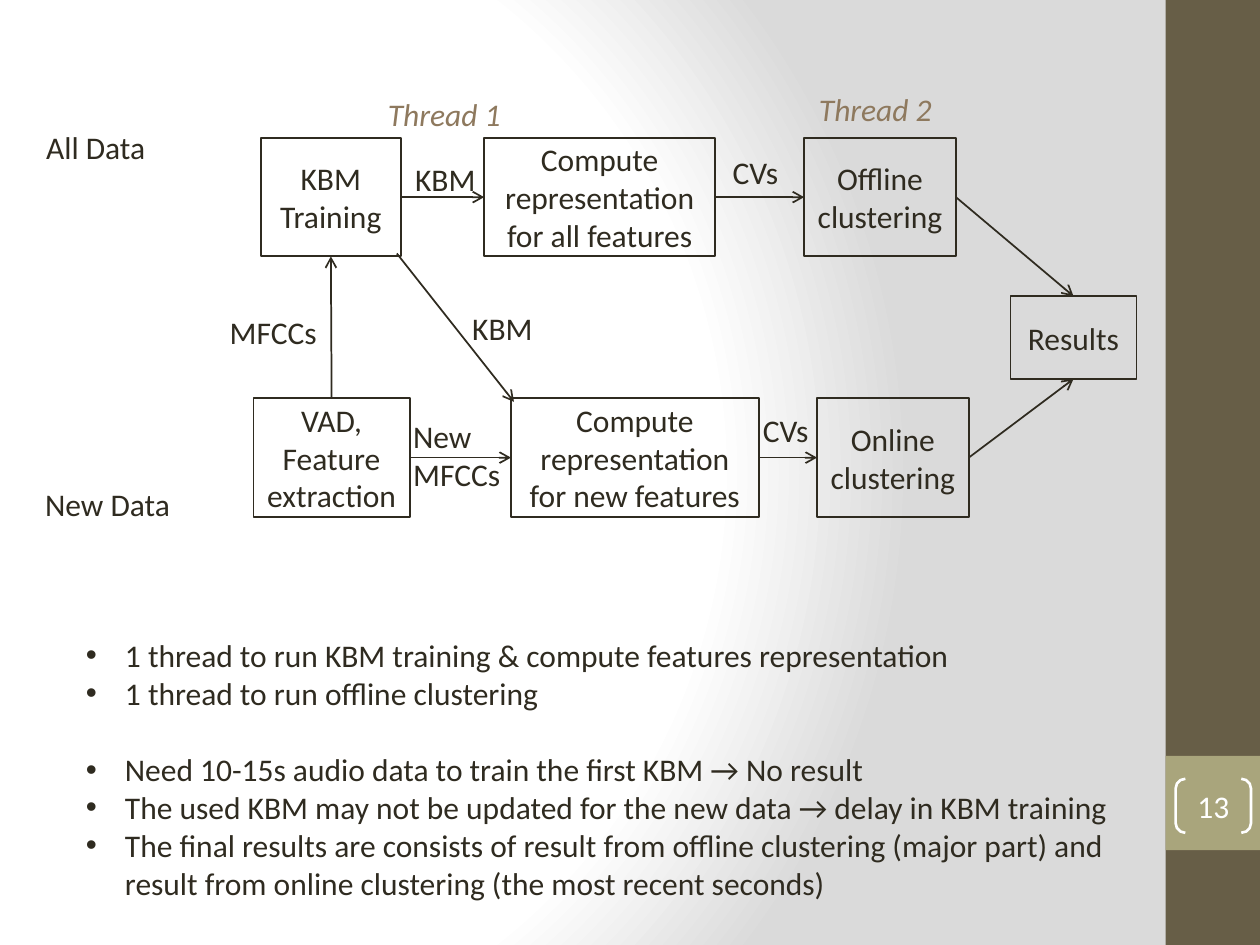
from dataclasses import dataclass

from lxml.etree import SubElement
from pptx import Presentation
from pptx.dml.color import RGBColor
from pptx.enum.shapes import MSO_CONNECTOR, MSO_SHAPE
from pptx.enum.text import MSO_ANCHOR, MSO_AUTO_SIZE, PP_ALIGN
from pptx.oxml import parse_xml
from pptx.oxml.ns import nsdecls, qn
from pptx.util import Cm, Pt

TOP, BOTTOM, LEFT, RIGHT = 0, 2, 1, 3


@dataclass(frozen=True)
class Theme:
    ink: str = "2F2B20"
    accent: str = "8E795E"
    sidebar: str = "675E47"
    badge: str = "A9A57C"
    paper: str = "FFFFFF"
    shade: str = "DADADA"
    font: str = "Calibri"
    size: int = 18
    line: float = 1
    bracket_line: float = 1.5


class SlideBuilder:
    def __init__(self, slide, theme):
        self.slide = slide
        self.theme = theme

    def background(self):
        self.slide.background.fill.solid()
        properties = self.slide.element.find(".//" + qn("p:bgPr"))
        stops = ((0, self.theme.paper), (75000, self.theme.paper), (100000, self.theme.shade))
        stop_xml = "".join(
            f'<a:gs pos="{position}"><a:srgbClr val="{color}"/></a:gs>' for position, color in stops
        )
        properties.replace(properties[0], parse_xml(
            f'<a:gradFill {nsdecls("a")} rotWithShape="1"><a:gsLst>{stop_xml}</a:gsLst>'
            '<a:path path="circle"><a:fillToRect l="20000" t="50000" r="100000" b="50000"/>'
            '</a:path></a:gradFill>'
        ))

    def style(self, paragraph, color, italic=False):
        paragraph.font.name = self.theme.font
        paragraph.font.size = Pt(self.theme.size)
        paragraph.font.color.rgb = RGBColor.from_string(color)
        if italic:
            paragraph.font.italic = True

    def shape(self, kind, left, top, width, height):
        shape = self.slide.shapes.add_shape(kind, Cm(left), Cm(top), Cm(width), Cm(height))
        shape.shadow.inherit = False
        shape.fill.background()
        return shape

    def panel(self, left, top, width, height, color):
        panel = self.shape(MSO_SHAPE.RECTANGLE, left, top, width, height)
        panel.fill.solid()
        panel.fill.fore_color.rgb = RGBColor.from_string(color)
        panel.line.fill.background()

    def outlined(self, kind, text, left, top, width, height, color, line):
        outlined = self.shape(kind, left, top, width, height)
        outlined.line.color.rgb = RGBColor.from_string(color)
        outlined.line.width = Pt(line)
        frame = outlined.text_frame
        frame.text = text
        frame.word_wrap = True
        frame.vertical_anchor = MSO_ANCHOR.MIDDLE
        for paragraph in frame.paragraphs:
            paragraph.alignment = PP_ALIGN.CENTER
            self.style(paragraph, color)
        return outlined

    def step(self, text, left, top, width, height=2.39):
        return self.outlined(MSO_SHAPE.RECTANGLE, text, left, top, width, height,
                             self.theme.ink, self.theme.line)

    def page_number(self, text, left, top, width, height):
        bracket = self.outlined(MSO_SHAPE.DOUBLE_BRACKET, text, left, top, width, height,
                                self.theme.paper, self.theme.bracket_line)
        bracket.adjustments[0] = 0.18
        frame = bracket.text_frame
        frame.margin_left = frame.margin_right = frame.margin_top = frame.margin_bottom = 0

    def label(self, text, left, top, width, height=1.02, color=None, italic=False):
        box = self.slide.shapes.add_textbox(Cm(left), Cm(top), Cm(width), Cm(height))
        frame = box.text_frame
        frame.word_wrap = True
        frame.auto_size = MSO_AUTO_SIZE.SHAPE_TO_FIT_TEXT
        frame.text = text
        for paragraph in frame.paragraphs:
            self.style(paragraph, color or self.theme.ink, italic)
        return frame

    def bullets(self, groups, left, top, width, height):
        lines = [line for group in groups for line in group]
        group_starts = [group[0] for group in groups[1:]]
        frame = self.label("\n".join(lines), left, top, width, height)
        for paragraph, line in zip(frame.paragraphs, lines):
            properties = paragraph._p.get_or_add_pPr()
            properties.set("marL", str(Cm(0.79)))
            properties.set("indent", str(-Cm(0.79)))
            properties.insert(0, parse_xml(f'<a:buChar {nsdecls("a")} char="•"/>'))
            properties.insert(0, parse_xml(f'<a:buFont {nsdecls("a")} typeface="Arial"/>'))
            if line in group_starts:
                paragraph.space_before = Pt(22)

    def arrow(self, start=(0, 0), end=(0, 0)):
        arrow = self.slide.shapes.add_connector(
            MSO_CONNECTOR.STRAIGHT, *(Cm(value) for value in (*start, *end)))
        arrow.line.color.rgb = RGBColor.from_string(self.theme.ink)
        arrow.line.width = Pt(self.theme.line)
        SubElement(arrow.line._get_or_add_ln(), qn("a:tailEnd"), type="arrow")
        SubElement(arrow._element.spPr, qn("a:effectLst"))
        return arrow

    def link(self, source, source_side, target, target_side):
        arrow = self.arrow()
        arrow.begin_connect(source, source_side)
        arrow.end_connect(target, target_side)


def main():
    presentation = Presentation()
    presentation.slide_width, presentation.slide_height = Cm(25.4), Cm(19.05)
    theme = Theme()
    builder = SlideBuilder(presentation.slides.add_slide(presentation.slide_layouts[6]), theme)

    builder.background()
    builder.panel(23.5, 0, 1.9, 19.05, theme.sidebar)
    builder.panel(23.5, 15.24, 1.9, 1.9, theme.badge)
    builder.page_number("13", 23.7, 15.7, 1.52, 1.09)

    offline_row, online_row = 2.78, 8.03
    extraction = builder.step("VAD,\nFeature extraction", 5.11, online_row, 3.15)
    training = builder.step("KBM Training", 5.26, offline_row, 2.82)
    all_features = builder.step("Compute representation for all features", 9.76, offline_row, 4.66)
    new_features = builder.step("Compute representation for new features", 10.3, online_row, 5)
    offline = builder.step("Offline clustering", 16.21, offline_row, 3.06)
    online = builder.step("Online clustering", 16.47, online_row, 3.06)
    results = builder.step("Results", 20.37, 5.97, 2.54, 1.67)

    for source, source_side, target, target_side in (
        (training, RIGHT, all_features, LEFT),
        (extraction, TOP, training, BOTTOM),
        (all_features, RIGHT, offline, LEFT),
        (offline, RIGHT, results, TOP),
        (new_features, RIGHT, online, LEFT),
        (extraction, RIGHT, new_features, LEFT),
        (online, RIGHT, results, BOTTOM),
    ):
        builder.link(source, source_side, target, target_side)
    builder.arrow((8, 5.11), (10.36, 8.1))

    for text, left, top, width in (
        ("All Data", 0.68, 2.45, 3.07),
        ("New Data", 0.66, 9.66, 3.07),
        ("MFCCs", 4.38, 6.19, 3.3),
        ("KBM", 9.27, 6.1, 2.72),
        ("KBM", 8.12, 3.1, 2.72),
        ("CVs", 14.52, 2.96, 2.72),
        ("CVs", 15.13, 8.16, 2.72),
    ):
        builder.label(text, left, top, width)
    builder.label("New\nMFCCs", 8.08, 8.28, 2.72, 1.8)
    for text, left, top in (("Thread 1", 7.57, 1.8), ("Thread 2", 16.26, 1.69)):
        builder.label(text, left, top, 3.5, color=theme.accent, italic=True)

    builder.bullets((
        ("1 thread to run KBM training & compute features representation",
         "1 thread to run offline clustering"),
        ("Need 10-15s audio data to train the first KBM → No result",
         "The used KBM may not be updated for the new data → delay in KBM training",
         "The final results are consists of result from offline clustering (major part) "
         "and result from online clustering (the most recent seconds)"),
    ), 1.48, 12.7, 21.41, 6.4)

    presentation.save("out.pptx")


if __name__ == "__main__":
    main()
